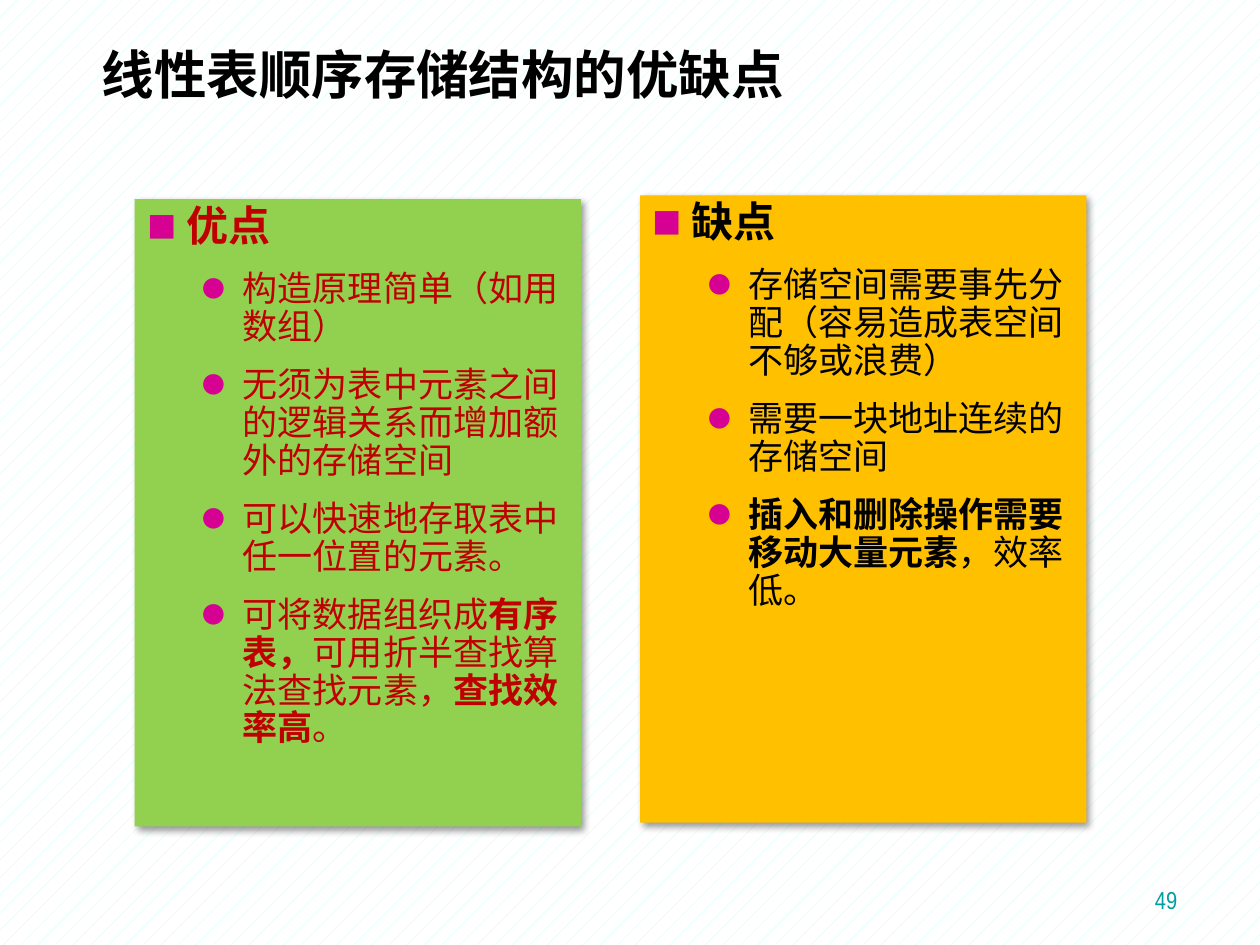
from dataclasses import dataclass

from lxml.etree import SubElement
from pptx import Presentation
from pptx.dml.color import RGBColor
from pptx.enum.dml import MSO_PATTERN
from pptx.enum.shapes import MSO_SHAPE
from pptx.enum.text import MSO_ANCHOR, PP_ALIGN
from pptx.oxml.ns import qn
from pptx.slide import Slide
from pptx.util import Pt

COLORS = {
    "black": "000000",
    "white": "FFFFFF",
    "mint": "C1FEF9",
    "teal": "009EA1",
    "red": "C00000",
    "green": "92D050",
    "amber": "FFC000",
    "magenta": "D60093",
}
LATIN_FONT = "Arial Narrow"
CHINESE_FONT = "Noto Sans CJK SC"

ADVANTAGES = [
    [("构造原理简单（如用数组）", False)],
    [("无须为表中元素之间的逻辑关系而增加额外的存储空间", False)],
    [("可以快速地存取表中任一位置的元素。", False)],
    [
        ("可将数据组织成", False),
        ("有序表，", True),
        ("可用折半查找算法查找元素，", False),
        ("查找效率高", True),
        ("。", False),
    ],
]
DRAWBACKS = [
    [("存储空间需要事先分配（容易造成表空间不够或浪费）", False)],
    [("需要一块地址连续的存储空间", False)],
    [("插入和删除操作需要移动大量元素", True), ("，效率低。", False)],
]


def color(name):
    return RGBColor.from_string(COLORS[name])


@dataclass
class SlideBuilder:
    slide: Slide
    panel_width: float = 255
    panel_height: float = 358.5

    def background(self):
        fill = self.slide.background.fill
        fill.patterned()
        fill.pattern = MSO_PATTERN.PERCENT_5
        fill.fore_color.rgb = color("mint")
        fill.back_color.rgb = color("white")

    def run(self, paragraph, text, size, color_name, bold=False, font=LATIN_FONT):
        run = paragraph.add_run()
        run.text = text
        run.font.size = Pt(size)
        run.font.bold = bold
        run.font.name = font
        run.font.color.rgb = color(color_name)
        SubElement(run.font._element, qn("a:ea"), typeface=CHINESE_FONT)

    def text(self, box, text, size, color_name, anchor, align, bold=False):
        shape = self.slide.shapes.add_textbox(*map(Pt, box))
        frame = shape.text_frame
        frame.word_wrap = True
        frame.vertical_anchor = anchor
        paragraph = frame.paragraphs[0]
        paragraph.alignment = align
        paragraph.line_spacing = 0.8 if bold else 1.0
        self.run(paragraph, text, size, color_name, bold)

    def bullet(self, paragraph, character, percent, margin, indent):
        properties = paragraph._p.get_or_add_pPr()
        properties.set("marL", str(Pt(margin)))
        properties.set("indent", str(Pt(-indent)))
        bullet_color = SubElement(properties, qn("a:buClr"))
        SubElement(bullet_color, qn("a:srgbClr"), val=COLORS["magenta"])
        SubElement(properties, qn("a:buSzPct"), val=str(percent * 1000))
        SubElement(properties, qn("a:buFont"), typeface=CHINESE_FONT)
        SubElement(properties, qn("a:buChar"), char=character)

    def shadow(self, shape):
        shape.shadow.inherit = False
        effects = shape._element.spPr.find(qn("a:effectLst"))
        shadow = SubElement(
            effects, qn("a:outerShdw"), blurRad=str(Pt(4)), dist=str(Pt(3)),
            dir=str(45 * 60000), algn="tl", rotWithShape="0",
        )
        shadow_color = SubElement(shadow, qn("a:srgbClr"), val=COLORS["black"])
        SubElement(shadow_color, qn("a:alpha"), val="40000")

    def panel(self, left, top, fill_name, text_name, heading, items):
        shape = self.slide.shapes.add_shape(
            MSO_SHAPE.RECTANGLE, Pt(left), Pt(top),
            Pt(self.panel_width), Pt(self.panel_height),
        )
        shape.fill.solid()
        shape.fill.fore_color.rgb = color(fill_name)
        shape.line.fill.background()
        self.shadow(shape)
        frame = shape.text_frame
        frame.word_wrap = True
        frame.vertical_anchor = MSO_ANCHOR.TOP
        paragraph = frame.paragraphs[0]
        paragraph.alignment = PP_ALIGN.LEFT
        paragraph.line_spacing = 0.9
        self.bullet(paragraph, "■", 70, 22.5, 22.5)
        self.run(paragraph, heading, 24, text_name, bold=True)
        for item in items:
            paragraph = frame.add_paragraph()
            paragraph.level = 1
            paragraph.alignment = PP_ALIGN.LEFT
            paragraph.line_spacing = 0.9
            paragraph.space_before = Pt(11.7)
            self.bullet(paragraph, "●", 65, 54.7, 23)
            for text, bold in item:
                self.run(paragraph, text, 20, text_name, bold, CHINESE_FONT)


def main():
    presentation = Presentation()
    presentation.slide_width = Pt(720)
    presentation.slide_height = Pt(540)
    builder = SlideBuilder(presentation.slides.add_slide(presentation.slide_layouts[6]))
    builder.background()
    builder.text((51, 12.2, 645, 66.2), "线性表顺序存储结构的优缺点", 30, "black",
                 MSO_ANCHOR.MIDDLE, PP_ALIGN.LEFT, bold=True)
    builder.panel(77, 113.8, "green", "red", "优点", ADVANTAGES)
    builder.text((530, 490.3, 149.8, 36), "49", 14, "teal",
                 MSO_ANCHOR.BOTTOM, PP_ALIGN.RIGHT)
    builder.panel(365.8, 111.6, "amber", "black", "缺点", DRAWBACKS)
    presentation.save("out.pptx")


if __name__ == "__main__":
    main()
